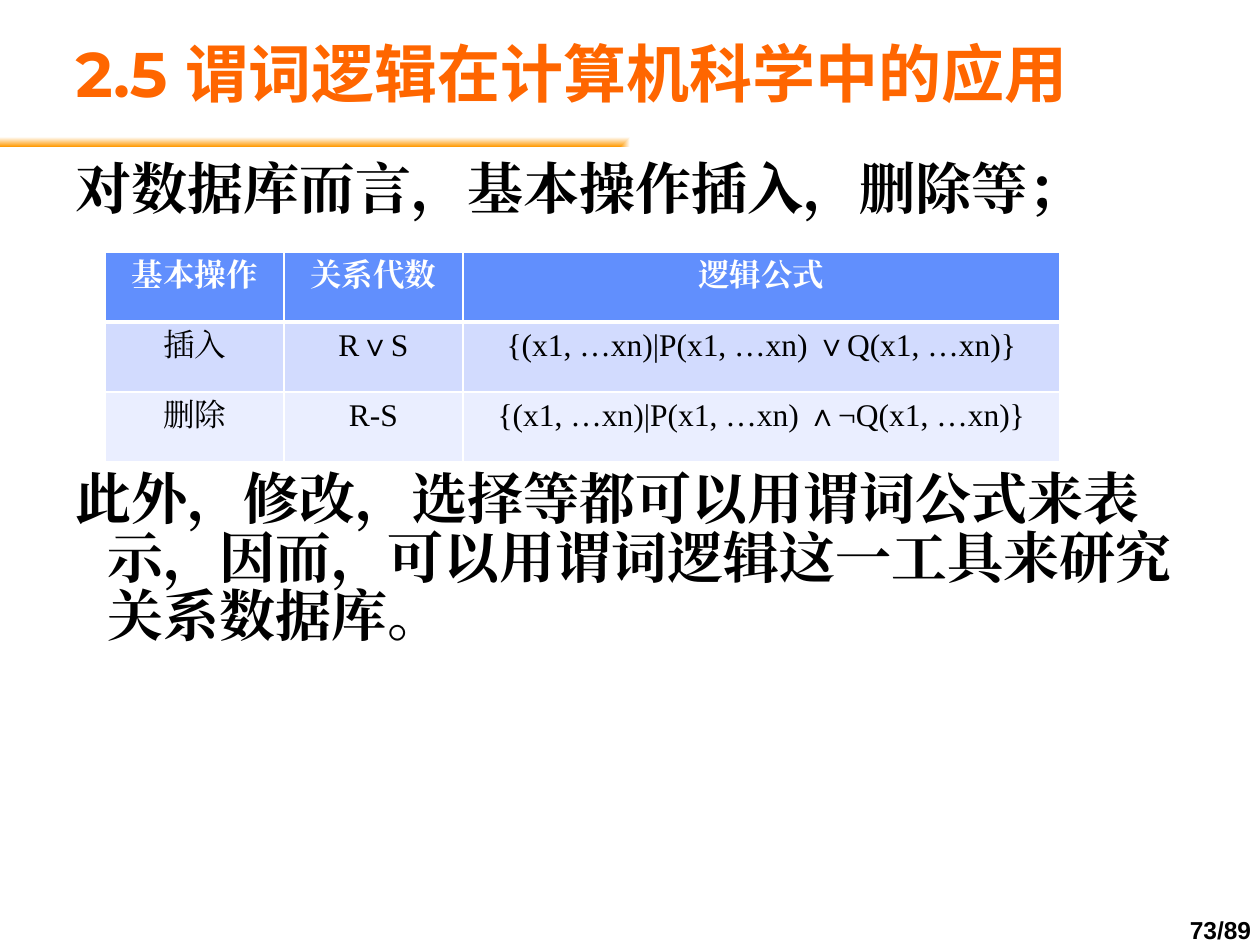
from lxml import etree
from pptx import Presentation
from pptx.dml.color import RGBColor
from pptx.enum.shapes import MSO_SHAPE
from pptx.enum.text import MSO_ANCHOR, PP_ALIGN
from pptx.oxml.ns import qn
from pptx.util import Pt

PX = 914400 / 126
RECT = MSO_SHAPE.RECTANGLE
MID, TOP = MSO_ANCHOR.MIDDLE, MSO_ANCHOR.TOP
LEFT, MIDDLE = PP_ALIGN.LEFT, PP_ALIGN.CENTER
SERIF = "Times New Roman"
HUES = {"title": "FF6600", "bar": "FF9900", "ink": "000000", "white": "FFFFFF",
        "head": "618FFD", "odd": "D2DBFE", "even": "EAEEFF"}
ROWS = [
    ["基本操作", "关系代数", "逻辑公式"],
    ["插入", "R∨S", "{(x1, …xn)|P(x1, …xn) ∨Q(x1, …xn)}"],
    ["删除", "R-S", "{(x1, …xn)|P(x1, …xn) ∧¬Q(x1, …xn)}"],
]


def emu(*vals):
    """Turn px lengths into EMU."""
    return [round(v * PX) for v in vals]


def hue(name):
    """Look up a named colour."""
    return RGBColor.from_string(HUES[name])


def write(frame, text, size=18, font=SERIF, color="ink", bold=True,
          align=LEFT, line=None, hang=0):
    """Put one formatted paragraph in a text frame."""
    para = frame.paragraphs[0]
    para.alignment = align
    if line:
        para.line_spacing = line
    if hang:
        pad = emu(hang)[0]
        props = para._p.get_or_add_pPr()
        props.set("marL", str(pad))
        props.set("indent", str(-pad))
    run = para.add_run()
    run.text = text
    run.font.size, run.font.bold = Pt(size), bold
    run.font.name = font
    run.font.color.rgb = hue(color)
    for tag in ("a:ea", "a:cs"):
        etree.SubElement(run._r.get_or_add_rPr(), qn(tag)).set("typeface", font)


def heading(slide, box):
    """Place the slide title."""
    shape = slide.shapes.title
    shape.left, shape.top, shape.width, shape.height = emu(*box)
    frame = shape.text_frame
    frame.vertical_anchor, frame.word_wrap = MID, True
    write(frame, "2.5 谓词逻辑在计算机科学中的应用", size=36, font="Montserrat",
          color="title", line=0.93)


def rule(slide, box):
    """Draw the fading bar below the title."""
    bar = slide.shapes.add_shape(RECT, *emu(*box))
    bar.shadow.inherit = False
    bar.line.fill.background()
    bar.fill.gradient()
    for stop, name, pos in zip(bar.fill.gradient_stops, ("bar", "white"), (0, 1)):
        stop.color.rgb, stop.position = hue(name), pos
    grad = bar._element.spPr.find(qn("a:gradFill"))
    grad.remove(grad.find(qn("a:lin")))
    fade = etree.SubElement(grad, qn("a:path"), path="rect")
    etree.SubElement(fade, qn("a:fillToRect"), l="0", t="100000", r="100000", b="0")


def note(slide, box, text, wrap=True, anchor=TOP, **form):
    """Place a text box."""
    frame = slide.shapes.add_textbox(*emu(*box)).text_frame
    frame.word_wrap, frame.vertical_anchor = wrap, anchor
    write(frame, text, **form)


def edge(cell, top, low):
    """Give a cell white borders of set widths in points."""
    props = cell._tc.get_or_add_tcPr()
    for spot, (tag, size) in enumerate(zip(("lnL", "lnR", "lnT", "lnB"), (1, 1, top, low))):
        line = etree.Element(qn("a:" + tag), w=str(Pt(size)))
        fill = etree.SubElement(line, qn("a:solidFill"))
        etree.SubElement(fill, qn("a:srgbClr"), val=HUES["white"])
        props.insert(spot, line)


def grid(slide, box, cols):
    """Place the table of database operations."""
    table = slide.shapes.add_table(len(ROWS), len(cols), *emu(*box)).table
    for col, wide in zip(table.columns, emu(*cols)):
        col.width = wide
    for r, (row, fill) in enumerate(zip(ROWS, ("head", "odd", "even"))):
        table.rows[r].height = emu(box[3] / len(ROWS))[0]
        for c, text in enumerate(row):
            cell = table.cell(r, c)
            cell.fill.solid()
            cell.fill.fore_color.rgb = hue(fill)
            edge(cell, 3 if r == 1 else 1, 3 if r == 0 else 1)
            write(cell.text_frame, text, align=MIDDLE, bold=r == 0,
                  color="ink" if r else "white")


def main():
    """Build and save the slide."""
    deck = Presentation()
    deck.slide_width, deck.slide_height = emu(1260, 945)
    slide = deck.slides.add_slide(deck.slide_layouts[5])
    body = {"size": 32, "line": 0.87, "hang": 32}
    rule(slide, (0, 127, 1260, 20))
    heading(slide, (63, 32, 1134, 88))
    note(slide, (63, 157, 1134, 76), "对数据库而言，基本操作插入，删除等；", **body)
    grid(slide, (105, 252, 955, 210), (179, 179, 597))
    note(slide, (63, 467, 1134, 190),
         "此外，修改，选择等都可以用谓词公式来表示，因而，可以用谓词逻辑这一工具来研究关系数据库。",
         **body)
    note(slide, (1176, 913, 89, 38), "73/89", wrap=False, anchor=MID,
         size=14, font="Arial", align=MIDDLE, line=0.85)
    deck.save("out.pptx")


if __name__ == "__main__":
    main()
